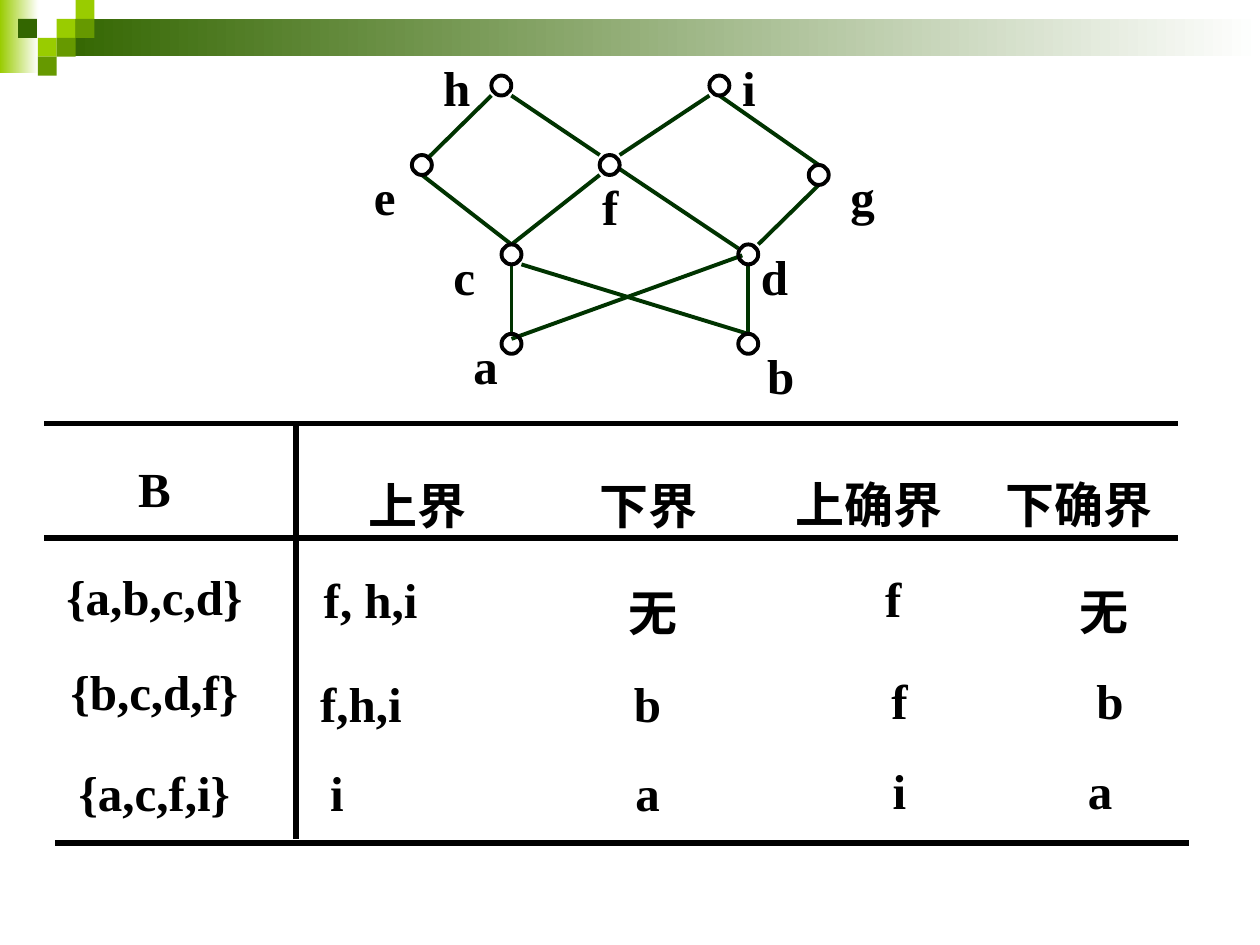
from pptx import Presentation
from pptx.dml.color import RGBColor
from pptx.enum.shapes import MSO_CONNECTOR, MSO_SHAPE
from pptx.enum.text import MSO_ANCHOR, PP_ALIGN
from pptx.oxml.ns import qn
from pptx.util import Pt
from lxml.etree import SubElement

TEXT = {"name": "Times New Roman", "size": Pt(28), "bold": True}


def rgb(value):
    return RGBColor.from_string(value)


def add_line(x1, y1, x2, y2, color, width):
    line = slide.shapes.add_connector(
        MSO_CONNECTOR.STRAIGHT, Pt(x1), Pt(y1), Pt(x2), Pt(y2))
    line.line.color.rgb = rgb(color)
    line.line.width = Pt(width)
    SubElement(line._element.spPr, qn("a:effectLst"))


prs = Presentation()
prs.slide_width, prs.slide_height = Pt(720), Pt(540)
slide = prs.slides.add_slide(prs.slide_layouts[6])

decor = [
    (0, 0, 22, 42, "99CC00", "FFFFFF"),
    (32.4, 10.8, 687.6, 21.4, "336600", "FFFFFF"),
    (32.4, 10.8, 10.8, 10.8, "99CC00", None),
    (43.2, 0, 10.8, 10.8, "99CC00", None),
    (43.2, 10.8, 10.8, 10.8, "669900", None),
    (21.6, 21.6, 10.8, 10.8, "99CC00", None),
    (10.3, 10.8, 10.8, 10.8, "336600", None),
    (32.4, 21.6, 10.8, 10.8, "669900", None),
    (21.6, 32.4, 10.8, 10.8, "669900", None),
]
for x, y, w, h, color, end in decor:
    sp = slide.shapes.add_shape(MSO_SHAPE.RECTANGLE, Pt(x), Pt(y), Pt(w), Pt(h))
    sp.shadow.inherit = False
    sp.line.fill.background()
    if end:
        sp.fill.gradient()
        sp.fill.gradient_angle = 0
        for stop, position, value in zip(sp.fill.gradient_stops, (0, 1), (color, end)):
            stop.position = position
            stop.color.rgb = rgb(value)
    else:
        sp.fill.solid()
        sp.fill.fore_color.rgb = rgb(color)

NODE = 11.4
nodes = {
    "h": (280.8, 43.2, 246.2, 26),
    "i": (405.4, 43.2, 417, 26),
    "e": (235.4, 88.6, 206.6, 88.6),
    "f": (342.7, 88.6, 337, 94.3),
    "g": (462.2, 94.3, 478.8, 88.6),
    "c": (286.6, 139.7, 252, 134),
    "d": (421.9, 139.7, 427.7, 134),
    "a": (286.6, 190.8, 263.5, 185),
    "b": (421.9, 190.8, 431.3, 190.8),
}
edges = [
    ("h", 1, 1, "f", 0, 0),
    ("e", 0.5, 1, "c", 0.5, 0),
    ("i", 0.5, 1, "g", 0.5, 0),
    ("f", 1, 0.7, "d", 0, 0.2),
    ("c", 1, 1, "b", 0.5, 0),
    ("c", 0.5, 1, "a", 0.5, 0),
    ("d", 0.5, 1, "b", 0.5, 0),
    ("d", 0.2, 0.55, "a", 0.5, 0.25),
    ("h", 0, 1, "e", 0.75, 0.2),
    ("f", 0, 1, "c", 0.5, 0),
    ("g", 0.5, 1, "d", 1, 0),
    ("i", 0, 1, "f", 1, 0),
]
for start, sx, sy, end, ex, ey in edges:
    x1, y1 = nodes[start][:2]
    x2, y2 = nodes[end][:2]
    add_line(x1 + sx * NODE, y1 + sy * NODE, x2 + ex * NODE, y2 + ey * NODE, "003300", 2.25)

for name, (x, y, label_x, label_y) in nodes.items():
    sp = slide.shapes.add_shape(MSO_SHAPE.OVAL, Pt(x), Pt(y), Pt(NODE), Pt(NODE))
    sp.shadow.inherit = False
    sp.fill.background()
    sp.line.color.rgb = rgb("000000")
    sp.line.width = Pt(2.25)
    tb = slide.shapes.add_textbox(Pt(label_x), Pt(label_y), Pt(42), Pt(41))
    tf = tb.text_frame
    tf.word_wrap = True
    tf.margin_top = Pt(6.8)
    p = tf.paragraphs[0]
    p.text = name
    for key, value in TEXT.items():
        setattr(p.font, key, value)
    p.font.color.rgb = rgb("000000")

col_x = [25.2, 169.2, 306, 436, 558, 680]
row_y = [242, 307.4, 367, 418, 481.7]
rows = [
    [("B", 88.2, 258.5), ("上界", 238.7, 260.6), ("下界", 370.4, 260.6),
     ("上确界", 496.4, 260), ("下确界", 616.7, 260)],
    [("{a,b,c,d}", 88.2, 319.7), ("f, h,i", 185, 321.8), ("无", 373, 321.8),
     ("f", 510.5, 321.1), ("无", 630.7, 321.1)],
    [("{b,c,d,f}", 88.2, 374.4), ("f,h,i", 183, 380.9), ("b", 370, 380.9),
     ("f", 514, 379.4), ("b", 634.3, 379.4)],
    [("{a,c,f,i}", 88.2, 428.4), ("i", 188.6, 428.4), ("a", 370, 428.4),
     ("i", 514, 427.7), ("a", 628.6, 427.7)],
]
table = slide.shapes.add_table(
    len(rows), len(rows[0]), Pt(col_x[0]), Pt(row_y[0]),
    Pt(col_x[-1] - col_x[0]), Pt(row_y[-1] - row_y[0])).table
for c, column in enumerate(table.columns):
    column.width = Pt(col_x[c + 1] - col_x[c])
for r, row in enumerate(rows):
    table.rows[r].height = Pt(row_y[r + 1] - row_y[r])
    for c, (text, x, y) in enumerate(row):
        cell = table.cell(r, c)
        left_aligned = r > 0 and c == 1
        shift = 2 * x - col_x[c] - col_x[c + 1]
        layout = {
            "margin_left": Pt(x - col_x[c] if left_aligned else max(shift, 0)),
            "margin_right": Pt(0 if left_aligned else max(-shift, 0)),
            "margin_top": Pt(y - row_y[r] + 6.8),
            "margin_bottom": Pt(0),
            "vertical_anchor": MSO_ANCHOR.TOP,
        }
        for key, value in layout.items():
            setattr(cell, key, value)
        cell.fill.background()
        p = cell.text_frame.paragraphs[0]
        p.text = text
        p.alignment = PP_ALIGN.LEFT if left_aligned else PP_ALIGN.CENTER
        for key, value in TEXT.items():
            setattr(p.font, key, value)
        p.font.color.rgb = rgb("000000")
        for side in ("a:lnB", "a:lnT", "a:lnR", "a:lnL"):
            border = cell._tc.tcPr.makeelement(qn(side), {"w": "0"})
            SubElement(border, qn("a:noFill"))
            cell._tc.tcPr.insert(0, border)

rules = [
    (25.2, 307.4, 673.2, 307.4),
    (31.7, 481.7, 679.7, 481.7),
    (169.2, 242, 169.2, 479.5),
    (25.2, 242, 673.2, 242),
]
for x1, y1, x2, y2 in rules:
    add_line(x1, y1, x2, y2, "000000", 3)

prs.save("out.pptx")
